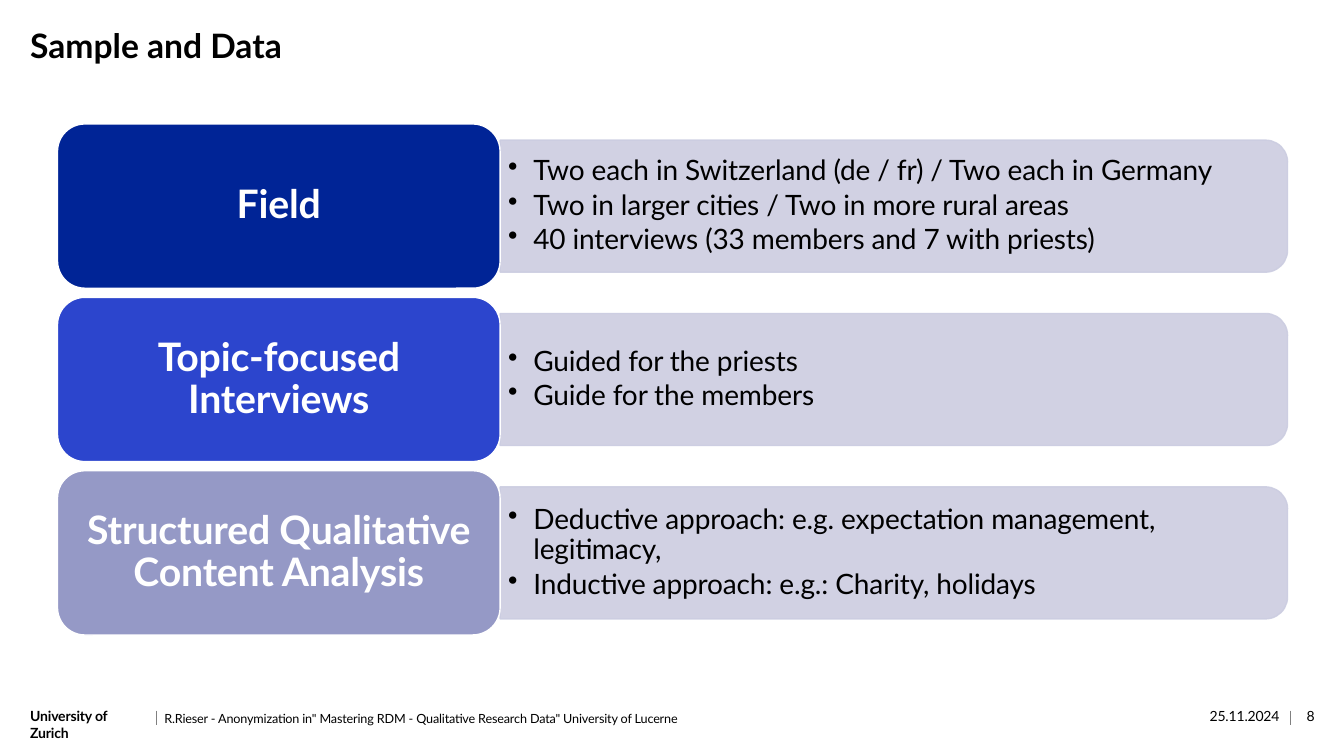
from dataclasses import dataclass

import pptx
import pptx.dml.color
import pptx.enum.shapes
import pptx.enum.text
import pptx.oxml.ns
import pptx.oxml.xmlchemy
import pptx.util
from lxml import etree

Inches = pptx.util.Inches
Pt = pptx.util.Pt
RGBColor = pptx.dml.color.RGBColor
SHAPE = pptx.enum.shapes.MSO_SHAPE
ALIGN = pptx.enum.text.PP_ALIGN
ANCHOR = pptx.enum.text.MSO_ANCHOR
qn = pptx.oxml.ns.qn

BLACK = RGBColor(0x00, 0x00, 0x00)
WHITE = RGBColor(0xFF, 0xFF, 0xFF)
GRAY = RGBColor(0x80, 0x80, 0x80)
NAVY = RGBColor(0x00, 0x24, 0x96)
BLUE = RGBColor(0x2C, 0x45, 0xCD)
LAVENDER = RGBColor(0x95, 0x99, 0xC6)
PALE = RGBColor(0xCC, 0xCD, 0xE1)

FONT = "Lato"
ROW_TOP, ROW_PITCH = 1.23, 1.72
LABEL_LEFT, LABEL_W, LABEL_H = 0.57, 4.39, 1.63
PANEL_LEFT, PANEL_W, PANEL_H = LABEL_LEFT + LABEL_W, 7.81, 1.31


@dataclass
class Row:
    label: str
    color: RGBColor
    points: list[str]


@dataclass
class Caption:
    text: str
    left: float
    top: float
    width: float
    height: float
    size: float = 10
    bold: bool = False
    align: ALIGN = ALIGN.LEFT
    spacing: float = 0.98
    tight: bool = True


ROWS = [
    Row("Field", NAVY, [
        "Two each in Switzerland (de / fr) / Two each in Germany",
        "Two in larger cities / Two in more rural areas",
        "40 interviews (33 members and 7 with priests)",
    ]),
    Row("Topic-focused Interviews", BLUE, [
        "Guided for the priests",
        "Guide for the members",
    ]),
    Row("Structured Qualitative Content Analysis", LAVENDER, [
        "Deductive approach: e.g. expectation management, legitimacy,",
        "Inductive approach: e.g.: Charity, holidays",
    ]),
]

CAPTIONS = [
    Caption("Sample and Data", 0.3, 0.27, 6.26, 0.92, 24, True, spacing=0.97, tight=False),
    Caption("University of Zurich", 0.3, 7.03, 1.16, 0.16, bold=True),
    Caption('R.Rieser - Anonymization in" Mastering RDM - Qualitative Research Data" '
            'University of Lucerne', 1.63, 7.06, 9.37, 0.15, 9),
    Caption("25.11.2024", 11.39, 7.03, 1.3, 0.16, align=ALIGN.RIGHT),
    Caption("8", 12.81, 7.03, 0.23, 0.16, align=ALIGN.RIGHT),
]
DIVIDERS = [1.55, 12.8]


def set_frame(tf, inset_x: float, inset_y: float, anchor=ANCHOR.TOP) -> None:
    tf.word_wrap = True
    tf.vertical_anchor = anchor
    tf.margin_left = tf.margin_right = Inches(inset_x)
    tf.margin_top = tf.margin_bottom = Inches(inset_y)


def add_run(p, text: str, size: float, color: RGBColor = BLACK,
            bold: bool = False, tight: bool = True) -> None:
    r = p.add_run()
    r.text = text
    r.font.name = FONT
    r.font.size = Pt(size)
    r.font.bold = bold
    r.font.color.rgb = color
    if tight:
        r.font._element.set("spc", "-10")


def add_caption(s, caption: Caption) -> None:
    sp = s.shapes.add_textbox(Inches(caption.left), Inches(caption.top),
                              Inches(caption.width), Inches(caption.height))
    set_frame(sp.text_frame, 0, 0)
    p = sp.text_frame.paragraphs[0]
    p.alignment = caption.align
    p.line_spacing = caption.spacing
    add_run(p, caption.text, caption.size, bold=caption.bold, tight=caption.tight)


def add_divider(s, x: float) -> None:
    line = s.shapes.add_connector(pptx.enum.shapes.MSO_CONNECTOR.STRAIGHT,
                                  Inches(x), Inches(7.05), Inches(x), Inches(7.19))
    line.line.color.rgb = GRAY
    line.line.width = Pt(0.5)
    etree.SubElement(line._element.spPr, qn("a:effectLst"))


def add_panel(s, middle: float) -> None:
    # Turned a quarter so that the rounded corners face right
    sp = s.shapes.add_shape(SHAPE.ROUND_2_SAME_RECTANGLE,
                            Inches(PANEL_LEFT + (PANEL_W - PANEL_H) / 2),
                            Inches(middle - PANEL_W / 2),
                            Inches(PANEL_H), Inches(PANEL_W))
    sp.rotation = 90
    sp.shadow.inherit = False
    sp.fill.solid()
    sp.fill.fore_color.rgb = PALE
    sp.line.color.rgb = PALE
    sp.line.width = Pt(1)
    for clr in sp._element.spPr.iter(qn("a:srgbClr")):
        etree.SubElement(clr, qn("a:alpha")).set("val", "90000")


def add_points(s, points: list[str], middle: float) -> None:
    height = 1.18
    sp = s.shapes.add_textbox(Inches(PANEL_LEFT), Inches(middle - height / 2),
                              Inches(7.74), Inches(height))
    tf = sp.text_frame
    set_frame(tf, 0.08, 0.04, ANCHOR.MIDDLE)
    for i, point in enumerate(points):
        p = tf.add_paragraph() if i else tf.paragraphs[0]
        pPr = p._p.get_or_add_pPr()
        pPr.set("marL", str(Inches(0.25)))
        pPr.set("indent", str(-Inches(0.25)))
        etree.SubElement(pPr, qn("a:buChar")).set("char", "•")
        p.line_spacing = 0.9
        p.space_after = Pt(3)
        add_run(p, point, 20)


def add_label(s, row: Row, top: float) -> None:
    sp = s.shapes.add_shape(SHAPE.ROUNDED_RECTANGLE, Inches(LABEL_LEFT), Inches(top),
                            Inches(LABEL_W), Inches(LABEL_H))
    sp.shadow.inherit = False
    sp.fill.solid()
    sp.fill.fore_color.rgb = row.color
    sp.line.color.rgb = WHITE
    sp.line.width = Pt(1)
    set_frame(sp.text_frame, 0.12, 0.06, ANCHOR.MIDDLE)
    p = sp.text_frame.paragraphs[0]
    p.alignment = ALIGN.CENTER
    p.line_spacing = 0.9
    add_run(p, row.label, 28, WHITE, bold=True)


def main() -> None:
    prs = pptx.Presentation()
    prs.slide_width, prs.slide_height = Inches(13.33), Inches(7.5)
    s = prs.slides.add_slide(prs.slide_layouts[6])

    # Title and footer
    for caption in CAPTIONS:
        add_caption(s, caption)
    for x in DIVIDERS:
        add_divider(s, x)

    # Rows: panel, its points, then the label on top
    for i, row in enumerate(ROWS):
        top = ROW_TOP + i * ROW_PITCH
        middle = top + LABEL_H / 2
        add_panel(s, middle)
        add_points(s, row.points, middle)
        add_label(s, row, top)

    prs.save("out.pptx")


if __name__ == "__main__":
    main()
